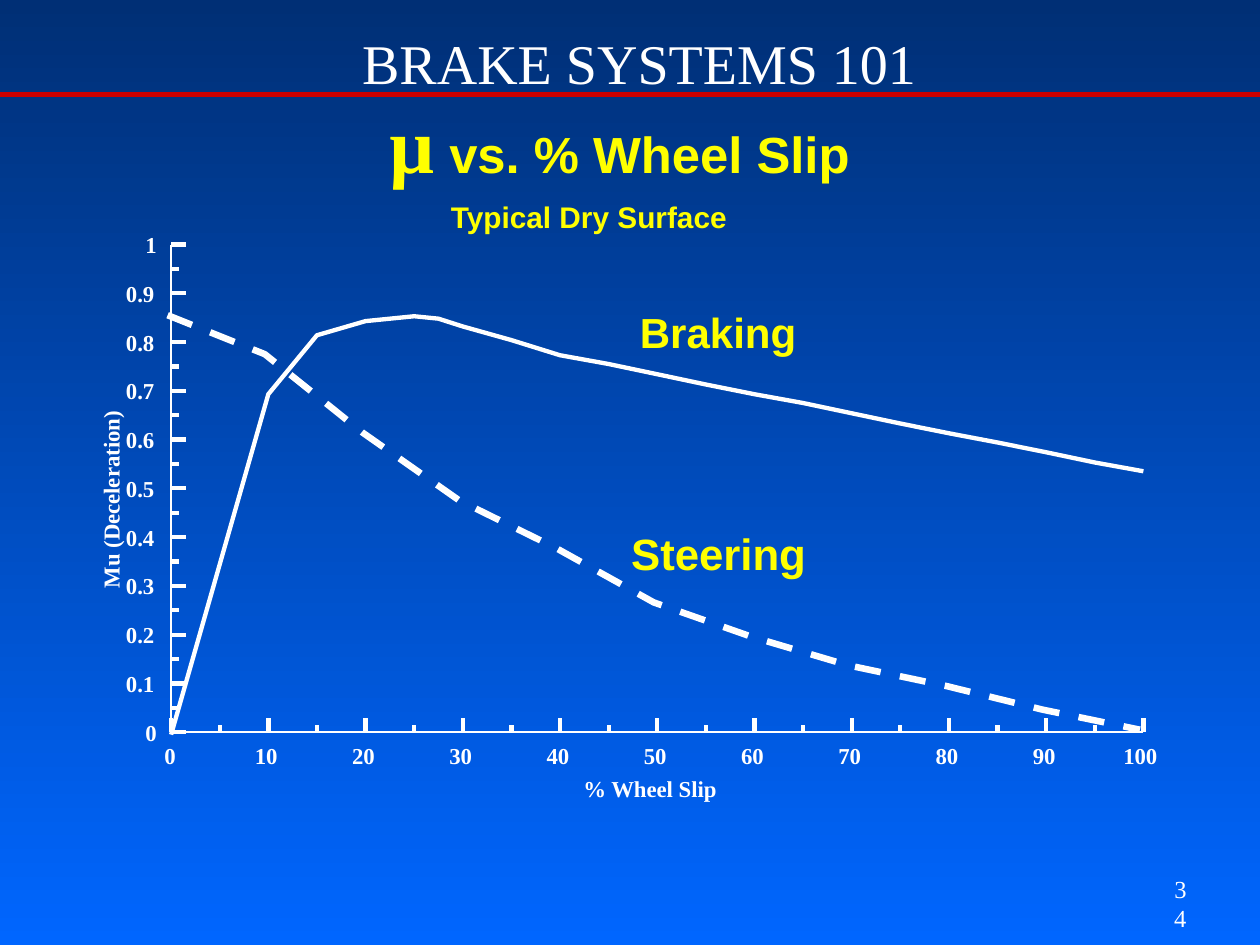
from pptx import Presentation
from pptx.util import Cm, Pt
from pptx.dml.color import RGBColor
from pptx.enum.dml import MSO_LINE as Dash
from pptx.enum.shapes import MSO_CONNECTOR as Conn
from pptx.enum.text import MSO_ANCHOR as Anchor, MSO_AUTO_SIZE as Fit, PP_ALIGN as Align
from pptx.oxml.ns import qn
from lxml.etree import SubElement

HUES = {"white": "FFFFFF", "yellow": "FFFF00", "red": "CC0000",
        "top": "002F75", "base": "0066FF"}
SERIF, SANS = "Times New Roman", "Arial"

# Plot area in cm: origin, width and height
X0, Y0, WIDE, HIGH = 3.45, 14.76, 19.6, 9.83
MAJOR, MINOR = 0.29, 0.15
CHAR, LINE = 0.27, 0.56

# Mu in percent; braking at each slip, steering at every 10 % slip
SLIPS = [0, 5, 10, 15, 20, 22.5, 25, 27.5, *range(30, 101, 5)]
BRAKING = [0, 34.9, 69.8, 81.9, 84.8, 85.3, 85.8, 85.3, 83.7, 80.9, 77.8, 76,
           73.9, 71.8, 69.8, 68, 65.9, 63.8, 61.8, 59.9, 57.9, 55.8, 54]
STEERING = [85, 77, 61, 47, 37.2, 26.1, 19.1, 13.2, 9, 4.1, 0]


def hue(name):
    return RGBColor.from_string(HUES[name])


def x_at(slip):
    return X0 + WIDE * slip / 100


def y_at(mu):
    return Y0 - HIGH * mu / 100


def style(font, size, color, face, bold):
    font.size, font.name, font.bold = Pt(size), face, bold
    font.color.rgb = hue(color)


def frame(shape, anchor=Anchor.TOP, pad=False, wrap=True):
    body = shape.text_frame
    body.word_wrap, body.auto_size = wrap, Fit.NONE
    body.vertical_anchor = anchor
    body.margin_left = body.margin_right = Cm(0.25 if pad else 0)
    body.margin_top = body.margin_bottom = Cm(0.13 if pad else 0)
    return body.paragraphs[0]


def label(slide, box, text, size=13, color="white", face=SERIF, bold=True,
          align=Align.LEFT, **layout):
    shape = slide.shapes.add_textbox(*map(Cm, box))
    para = frame(shape, **layout)
    para.text, para.alignment = text, align
    style(para.font, size, color, face, bold)
    return shape


def rule(slide, x1, y1, x2, y2, color="white", width=2.47):
    line = slide.shapes.add_connector(Conn.STRAIGHT, *map(Cm, (x1, y1, x2, y2)))
    line.line.color.rgb, line.line.width = hue(color), Pt(width)
    SubElement(line._element.spPr, qn("a:effectLst"))


def curve(slide, points, width, dash=None):
    start, *rest = [(Cm(x), Cm(y)) for x, y in points]
    path = slide.shapes.build_freeform(*start)
    path.add_line_segments(rest, close=False)
    shape = path.convert_to_shape()
    shape.fill.background()
    shape.shadow.inherit = False
    shape.line.color.rgb, shape.line.width = hue("white"), Pt(width)
    if dash:
        shape.line.dash_style = dash


def backdrop(slide):
    fill = slide.background.fill
    fill.gradient()
    fill.gradient_angle = 270
    for stop, name in zip(fill.gradient_stops, ("top", "base")):
        stop.color.rgb = hue(name)


def heading(slide):
    title = slide.shapes.title
    title.left, title.top, title.width, title.height = map(
        Cm, (7.42, 1.91, 10.16, 1.7))
    para = frame(title)
    para.alignment = Align.CENTER
    for text, size, face in (("µ", 45, SERIF), (" vs. % Wheel Slip", 29, SANS)):
        run = para.add_run()
        run.text = text
        style(run.font, size, "yellow", face, True)


def scales(slide):
    for step in range(11):
        # Slip axis: number centred under its tick
        x, text = x_at(step * 10), str(step * 10)
        wide = CHAR * len(text)
        label(slide, (x - wide / 2, 14.96, wide, LINE), text)
        rule(slide, x, Y0, x, Y0 - MAJOR)

        # Mu axis: number ends left of its tick
        y, text = y_at(step * 10), f"{step / 10:g}"
        wide = CHAR if len(text) == 1 else 0.66
        label(slide, (3.2 - wide, y - LINE / 2, wide, LINE), text,
              anchor=Anchor.MIDDLE)
        rule(slide, X0, y, X0 + MAJOR, y)

    # Minor ticks halfway between the numbers
    for half in range(5, 100, 10):
        rule(slide, x_at(half), Y0, x_at(half), Y0 - MINOR)
        rule(slide, X0, y_at(half), X0 + MINOR, y_at(half))

    curve(slide, [(X0, Y0 - HIGH), (X0, Y0), (X0 + WIDE, Y0)], 1.5)
    label(slide, (11.76, 15.62, 3.15, LINE), "% Wheel Slip")
    name = label(slide, (0.15, 9.47, 4.19, 0.58), "Mu (Deceleration)")
    name.rotation = 270


def curves(slide):
    curve(slide, [(x_at(s), y_at(mu) + 0.05) for s, mu in zip(SLIPS, BRAKING)],
          2.47)
    curve(slide, [(x_at(10 * i) - 0.07, y_at(mu) - 0.05)
                  for i, mu in enumerate(STEERING)], 3.75, Dash.DASH)
    label(slide, (9.09, 4.01, 5.69, 0.69), "Typical Dry Surface", 17, "yellow",
          SANS)
    label(slide, (12.67, 10.62, 3.63, 0.69), "Steering", 25, "yellow", SANS,
          align=Align.CENTER)
    label(slide, (12.65, 6.05, 3.66, 1.27), "Braking", 24, "yellow", SANS,
          pad=True, wrap=False)


def main():
    deck = Presentation()
    deck.slide_width, deck.slide_height = Cm(25.4), Cm(19.05)
    slide = deck.slides.add_slide(deck.slide_layouts[5])
    backdrop(slide)

    # Banner
    label(slide, (4.52, 0.43, 16.74, 1.63), "BRAKE SYSTEMS 101", 32, bold=False,
          align=Align.CENTER, anchor=Anchor.MIDDLE, pad=True)
    rule(slide, 0, 1.91, 25.4, 1.91, "red", 3)
    heading(slide)

    # Graph
    scales(slide)
    curves(slide)

    # Page number, indented so that its digits stack
    page = label(slide, (23.06, 17.78, 1.09, 0.86), "34", 14, bold=False,
                 align=Align.RIGHT, anchor=Anchor.MIDDLE, pad=True)
    indent = page.text_frame.paragraphs[0]._p.get_or_add_pPr()
    indent.set("marL", str(Cm(0.61)))
    indent.set("indent", "0")

    deck.save("out.pptx")


if __name__ == "__main__":
    main()
